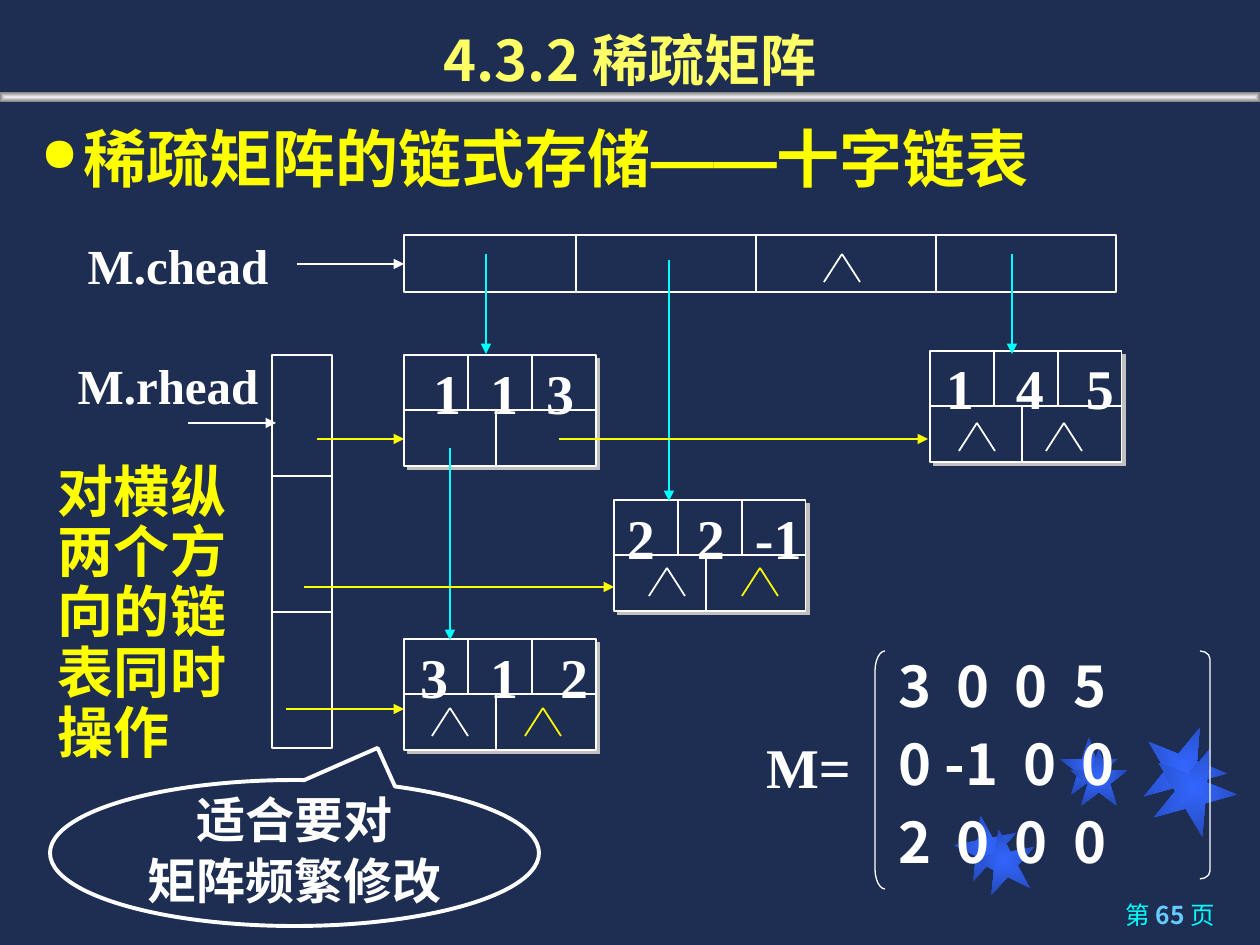
"""Builds the slide on cross-linked list storage of a sparse matrix."""
import pptx
import pptx.dml.color
import pptx.enum.shapes
import pptx.enum.text
import pptx.oxml
import pptx.oxml.ns
import pptx.util

PX = 914400 // 126
RGB = pptx.dml.color.RGBColor
NAVY, WHITE, YELLOW = RGB(0x1E, 0x2E, 0x53), RGB(255, 255, 255), RGB(255, 255, 0)
TITLE_YELLOW, CYAN, SKY = RGB(255, 255, 0x66), RGB(0, 255, 255), RGB(0x66, 0xCC, 255)
STAR_LIGHT, STAR_DARK = RGB(0x33, 0x66, 255), RGB(0x24, 0x49, 0xB6)
BAR_LIGHT, BAR_DARK = RGB(0xED, 0xED, 0xED), RGB(0x80, 0x80, 0x80)
SANS, SERIF, CJK = "Arial", "Times New Roman", "Noto Sans CJK SC"
KIND = pptx.enum.shapes.MSO_SHAPE
ALIGN = pptx.enum.text.PP_ALIGN
ANCHOR = pptx.enum.text.MSO_ANCHOR

STARS = [(955, 815, 63, -11), (1060, 737, 58, 0), (1142, 725, 84, 22),
         (973, 829, 63, -11), (1070, 748, 58, 0), (1152, 746, 84, 22)]
LABELS = [("M=", (753, 721, 111, 79), 32),
          ("M.chead", (69, 224, 218, 72), 28),
          ("M.rhead", (59, 344, 218, 72), 28)]
NODES = [((404, 355), "113", (29, 86, 142)),
         ((404, 639), "312", (16, 86, 156)),
         ((614, 500), ("2", "2", "-1"), (13, 83, 141)),
         ((930, 351), "145", (16, 86, 156))]
MATRIX = [("3005", (0, 58, 116, 175)),
          (("0", "-1", "0", "0"), (0, 46, 125, 183)),
          ("2000", (0, 58, 116, 175))]
COLUMN_HEADS, COLUMN_DIVIDERS = (404, 235, 712, 57), (576, 756, 936)
ROW_HEADS, ROW_DIVIDERS = (272, 355, 60, 393), (476, 612)
ARROWS = [(1012, 254, 1012, 354, CYAN), (486, 254, 486, 354, CYAN),
          (669, 260, 669, 501, CYAN), (450, 448, 450, 640, CYAN),
          (317, 439, 404, 439, YELLOW), (304, 587, 614, 587, YELLOW),
          (286, 709, 404, 709, YELLOW), (559, 439, 928, 439, YELLOW),
          (297, 264, 404, 264, WHITE), (188, 423, 276, 423, WHITE)]
NULL_MARKS = [(842, 254, WHITE), (977, 423, WHITE), (1064, 423, WHITE), (667, 568, WHITE),
              (760, 568, YELLOW), (450, 708, WHITE), (543, 708, YELLOW)]
BRACKETS = [(KIND.LEFT_BRACKET, (875, 651, 10, 238), 2.06),
            (KIND.RIGHT_BRACKET, (1200, 651, 10, 228), 0.8)]

presentation = pptx.Presentation()
presentation.slide_width, presentation.slide_height = 1260 * PX, 945 * PX
slide = presentation.slides.add_slide(presentation.slide_layouts[6])
slide.background.fill.solid()
slide.background.fill.fore_color.rgb = NAVY


def element(parent, tag, **attributes):
    child = pptx.oxml.parse_xml(f"<a:{tag} {pptx.oxml.ns.nsdecls('a')}/>")
    for name, value in attributes.items():
        child.set(name, str(value))
    parent.append(child)
    return child


def add_shape(kind, box, fill=None, line=None, weight=0.75):
    shape = slide.shapes.add_shape(kind, *(value * PX for value in box))
    shape.shadow.inherit = False
    if fill is None:
        shape.fill.background()
    else:
        shape.fill.solid()
        shape.fill.fore_color.rgb = fill
    if line is None:
        shape.line.fill.background()
    else:
        shape.line.color.rgb = line
        shape.line.width = pptx.util.Pt(weight)
    return shape


def add_glowing(kind, box, inner, outer):
    shape = add_shape(kind, box, inner)
    solid = shape.fill.fore_color and shape.element.spPr.find(pptx.oxml.ns.qn("a:solidFill"))
    gradient = element(shape.element.spPr, "gradFill", rotWithShape=1)
    solid.addprevious(gradient)
    shape.element.spPr.remove(solid)
    stops = element(gradient, "gsLst")
    for position, color in ((0, inner), (100000, outer)):
        element(element(stops, "gs", pos=position), "srgbClr", val=color)
    center = element(gradient, "path", path="shape")
    element(center, "fillToRect", l=50000, t=50000, r=50000, b=50000)
    return shape


def add_line(x1, y1, x2, y2, color=WHITE, weight=0.75, arrow=False):
    line = slide.shapes.add_connector(pptx.enum.shapes.MSO_CONNECTOR.STRAIGHT,
                                      x1 * PX, y1 * PX, x2 * PX, y2 * PX)
    line.line.color.rgb = color
    line.line.width = pptx.util.Pt(weight)
    if arrow:
        element(line.line._get_or_add_ln(), "tailEnd", type="triangle")
    element(line.element.spPr, "effectLst")


def add_run(paragraph, text, font, **format_values):
    run = paragraph.add_run()
    run.text = text
    color = format_values.pop("color", WHITE)
    for name, value in {"name": font, "bold": True, **format_values}.items():
        setattr(run.font, name, value)
    run.font.color.rgb = color
    element(run._r.get_or_add_rPr(), "ea", typeface=font)


def fill_frame(shape, lines, font, size, color=WHITE, align=ALIGN.LEFT, pitch=None,
               insets=(13, 6, 13, 6), anchor=ANCHOR.TOP, wrap=True):
    frame = shape.text_frame
    sides = ("margin_left", "margin_top", "margin_right", "margin_bottom")
    values = dict(zip(sides, (inset * PX for inset in insets)))
    for name, value in {**values, "word_wrap": wrap, "vertical_anchor": anchor}.items():
        setattr(frame, name, value)
    for index, text in enumerate(lines):
        paragraph = frame.add_paragraph() if index else frame.paragraphs[0]
        paragraph.alignment = align
        if pitch:
            paragraph.line_spacing = pptx.util.Pt(pitch)
        add_run(paragraph, text, font, size=pptx.util.Pt(size), color=color)
    return frame.paragraphs


def add_text(box, lines, font, size, **format_values):
    shape = slide.shapes.add_textbox(*(value * PX for value in box))
    return fill_frame(shape, lines, font, size, **format_values)


def add_tabs(paragraph, starts):
    tabs = element(paragraph._p.get_or_add_pPr(), "tabLst")
    for start in starts[1:]:
        element(tabs, "tab", pos=(start - starts[0]) * PX, algn="l")


def add_node(left, top, values, starts, width=192, height=111, middle=55):
    shape = add_shape(KIND.RECTANGLE, (left, top, width, height), NAVY, WHITE)
    effects = shape.element.spPr.find(pptx.oxml.ns.qn("a:effectLst"))
    shadow = element(effects, "outerShdw", dist=pptx.util.Pt(2.8), dir=2700000,
                     algn="ctr", rotWithShape=0)
    element(shadow, "srgbClr", val="C0C0C0")
    add_line(left, top + middle, left + width, top + middle)
    for x, y1, y2 in ((64, 0, middle), (128, 0, middle), (92, middle, height)):
        add_line(left + x, top + y1, left + x, top + y2)
    paragraphs = add_text((left, top - 9, 219, 79), ["\t".join(values)], SERIF, 32,
                          insets=(starts[0], 12, 0, 0))
    add_tabs(paragraphs[0], starts)


for left, top, size, rotation in STARS:
    star = add_glowing(KIND.STAR_5_POINT, (left, top, size, size), STAR_LIGHT, STAR_DARK)
    star.rotation = rotation
add_glowing(KIND.RECTANGLE, (0, 92, 1260, 10), BAR_LIGHT, BAR_DARK)

footer = add_text((897, 900, 331, 45), ["第 "], CJK, 14, color=CYAN, align=ALIGN.RIGHT,
                  insets=(13, 0, 13, 0))[0]
footer.runs[0].font.bold = False
add_run(footer, "65 ", CJK, size=pptx.util.Pt(14), color=SKY)
add_run(footer, "页", CJK, size=pptx.util.Pt(14), color=CYAN, bold=False)

add_text((0, 0, 1260, 94), ["4.3.2 稀疏矩阵"], CJK, 32, color=TITLE_YELLOW,
         align=ALIGN.CENTER, anchor=ANCHOR.BOTTOM, insets=(13, 6, 13, 1))
heading = add_text((28, 113, 1198, 106), ["稀疏矩阵的链式存储——十字链表"], SANS, 36,
                   color=YELLOW, pitch=43.6)[0]
properties = heading._p.get_or_add_pPr()
properties.set("marL", str(43 * PX))
properties.set("indent", str(-43 * PX))
element(element(properties, "buClr"), "srgbClr", val=YELLOW)
element(properties, "buSzPct", val=75000)
element(properties, "buChar", char="●")

matrix = add_text((886, 641, 331, 240), ["\t".join(row) for row, starts in MATRIX], CJK, 32,
                  pitch=44.6, insets=(13, 0, 0, 0))
for paragraph, (row, starts) in zip(matrix, MATRIX):
    add_tabs(paragraph, starts)
for kind, box, curve in BRACKETS:
    add_shape(kind, box, line=WHITE).adjustments[0] = curve

add_shape(KIND.RECTANGLE, COLUMN_HEADS, NAVY, WHITE)
for x in COLUMN_DIVIDERS:
    add_line(x, COLUMN_HEADS[1], x, COLUMN_HEADS[1] + COLUMN_HEADS[3])
add_shape(KIND.RECTANGLE, ROW_HEADS, NAVY, WHITE)
for y in ROW_DIVIDERS:
    add_line(ROW_HEADS[0], y, ROW_HEADS[0] + ROW_HEADS[2], y)
for (left, top), values, starts in NODES:
    add_node(left, top, values, starts)
for text, box, size in LABELS:
    add_text(box, [text], SERIF, size, align=ALIGN.CENTER, insets=(13, 12, 13, 6), wrap=False)
for arrow in ARROWS:
    add_line(*arrow, arrow=True)
for x, y, color in NULL_MARKS:
    add_line(x - 18, y + 28, x, y, color, 1)
    add_line(x, y, x + 18, y + 28, color, 1)

callout = add_shape(KIND.OVAL_CALLOUT, (50, 780, 489, 146), line=WHITE, weight=2.25)
callout.adjustments[0], callout.adjustments[1] = 0.17, -0.72
fill_frame(callout, ["适合要对", "矩阵频繁修改"], SANS, 28, align=ALIGN.CENTER, pitch=35,
           insets=(0, 0, 0, 10), anchor=ANCHOR.MIDDLE, wrap=False)
add_text((45, 457, 210, 318), ["对横纵两个方向的链表同时操作"], SANS, 32, color=YELLOW, pitch=34.5)

presentation.save("out.pptx")
